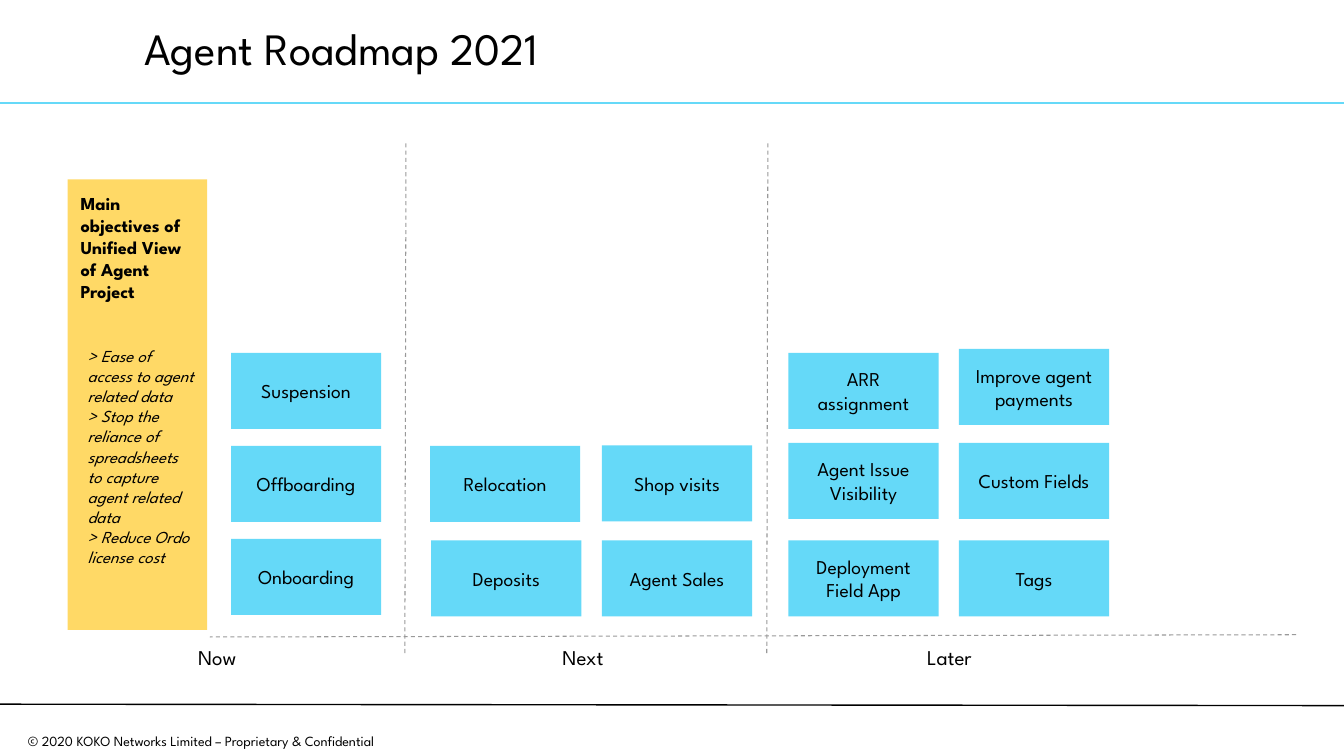
"""Build the agent roadmap slide."""
from lxml.etree import SubElement
from pptx import Presentation
from pptx.dml.color import RGBColor
from pptx.enum.dml import MSO_LINE
from pptx.enum.shapes import MSO_CONNECTOR, MSO_SHAPE
from pptx.enum.text import MSO_ANCHOR, PP_ALIGN
from pptx.oxml.ns import qn
from pptx.util import Pt

BLACK = RGBColor(0x00, 0x00, 0x00)
BLUE = RGBColor(0x65, 0xD9, 0xF8)
GOLD = RGBColor(0xFF, 0xD9, 0x66)
GREY = RGBColor(0x99, 0x99, 0x99)


class Page:
    """Hold the style and the current slide."""

    font = "League Spartan"

    def __init__(self, slide):
        """Keep the slide to draw on."""
        self.slide = slide

    def label(self, shape, lines, size, pad=(9.2, 9.2), align=PP_ALIGN.LEFT,
              anchor=MSO_ANCHOR.TOP, bold=False, slant=False, lead=1.0):
        """Fill a shape with text, one paragraph a line."""
        frame = shape.text_frame
        frame.word_wrap = True
        frame.vertical_anchor = anchor
        frame.margin_left = frame.margin_right = Pt(pad[0])
        frame.margin_top = frame.margin_bottom = Pt(pad[1])
        for i, line in enumerate(lines):
            para = frame.add_paragraph() if i else frame.paragraphs[0]
            para.alignment = align
            para.line_spacing = lead
            run = para.add_run()
            run.text = line
            run.font.name = self.font
            run.font.size = Pt(size)
            run.font.bold = bold
            run.font.italic = slant
            run.font.color.rgb = BLACK

    def text(self, x, y, w, h, lines, size, **style):
        """Add a text box."""
        box = self.slide.shapes.add_textbox(Pt(x), Pt(y), Pt(w), Pt(h))
        self.label(box, lines, size, **style)

    def block(self, x, y, w, h, fill, lines, size, **style):
        """Add a filled rectangle with text."""
        box = self.slide.shapes.add_shape(
            MSO_SHAPE.RECTANGLE, Pt(x), Pt(y), Pt(w), Pt(h))
        box.shadow.inherit = False
        box.fill.solid()
        box.fill.fore_color.rgb = fill
        box.line.fill.background()
        self.label(box, lines, size, **style)

    def card(self, x, y, name):
        """Add a blue feature card."""
        self.block(x, y, 107.3, 54.3, BLUE, [name], 14,
                   align=PP_ALIGN.CENTER, anchor=MSO_ANCHOR.MIDDLE)

    def rule(self, x1, y1, x2, y2, color, width, dash=False):
        """Add a straight line."""
        line = self.slide.shapes.add_connector(
            MSO_CONNECTOR.STRAIGHT, Pt(x1), Pt(y1), Pt(x2), Pt(y2))
        line.line.color.rgb = color
        line.line.width = Pt(width)
        if dash:
            line.line.dash_style = MSO_LINE.DASH
        SubElement(line._element.spPr, qn("a:effectLst"))


def main():
    """Draw the slide and save it."""
    deck = Presentation()
    deck.slide_width, deck.slide_height = Pt(960), Pt(540)
    page = Page(deck.slides.add_slide(deck.slide_layouts[6]))

    page.rule(0, 73.5, 960, 73.5, BLUE, 1.5)
    page.rule(0, 503, 960, 504, BLACK, 1)
    page.text(0, 519.8, 287, 20, ["© 2020 KOKO Networks Limited – Proprietary & Confidential"],
              10, pad=(7.2, 3.6), align=PP_ALIGN.CENTER)
    page.text(96, 0, 864, 73, ["Agent Roadmap 2021"], 32, pad=(7.2, 3.6),
              anchor=MSO_ANCHOR.MIDDLE, lead=0.9)

    page.rule(925.8, 453.4, 150, 455, GREY, 0.75, True)
    for x in (290, 548.5):
        page.rule(x, 102.4, x - 0.8, 468.6, GREY, 0.75, True)
    for x, phase in ((132.3, "Now"), (392.6, "Next"), (653, "Later")):
        page.text(x, 451.5, 75, 19.5, [phase], 15)

    page.block(48.4, 128.2, 99.6, 321.8, GOLD,
               ["Main objectives of Unified View of Agent Project"], 13, bold=True)
    page.text(53.5, 237.6, 94.8, 133.2, [
        "> Ease of access to agent related data",
        "> Stop the reliance of spreadsheets to capture agent related data",
        "> Reduce Ordo license cost",
    ], 12, slant=True)

    stacks = (
        (165, ((252, "Suspension"), (318.5, "Offboarding"), (385, "Onboarding"))),
        (307.2, ((318.5, "Relocation"),)),
        (308, ((386, "Deposits"),)),
        (430, ((318.2, "Shop visits"), (386, "Agent Sales"))),
        (563.2, ((252, "ARR assignment"), (316.3, "Agent Issue Visibility"),
                 (386, "Deployment Field App"))),
        (685, ((249.3, "Improve agent payments"), (316.3, "Custom Fields"), (386, "Tags"))),
    )
    for x, cards in stacks:
        for y, name in cards:
            page.card(x, y, name)

    deck.save("out.pptx")


if __name__ == "__main__":
    main()
